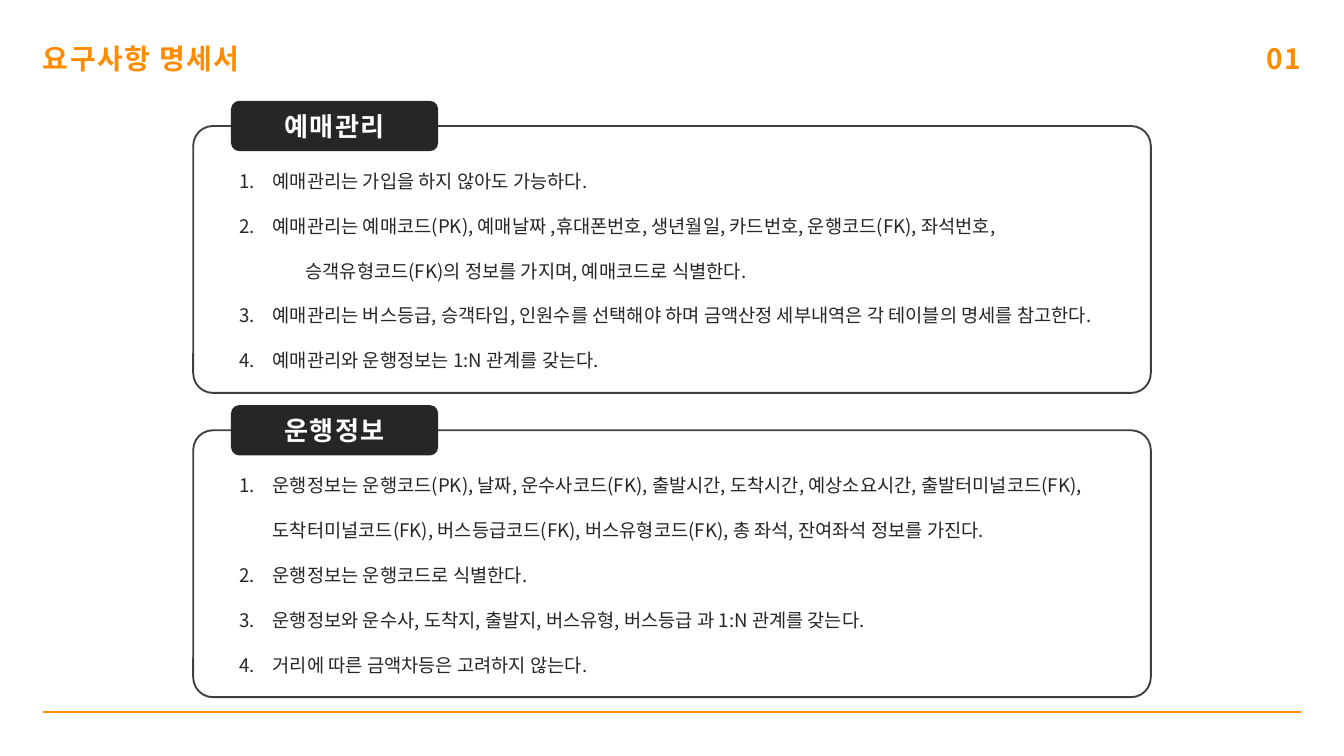
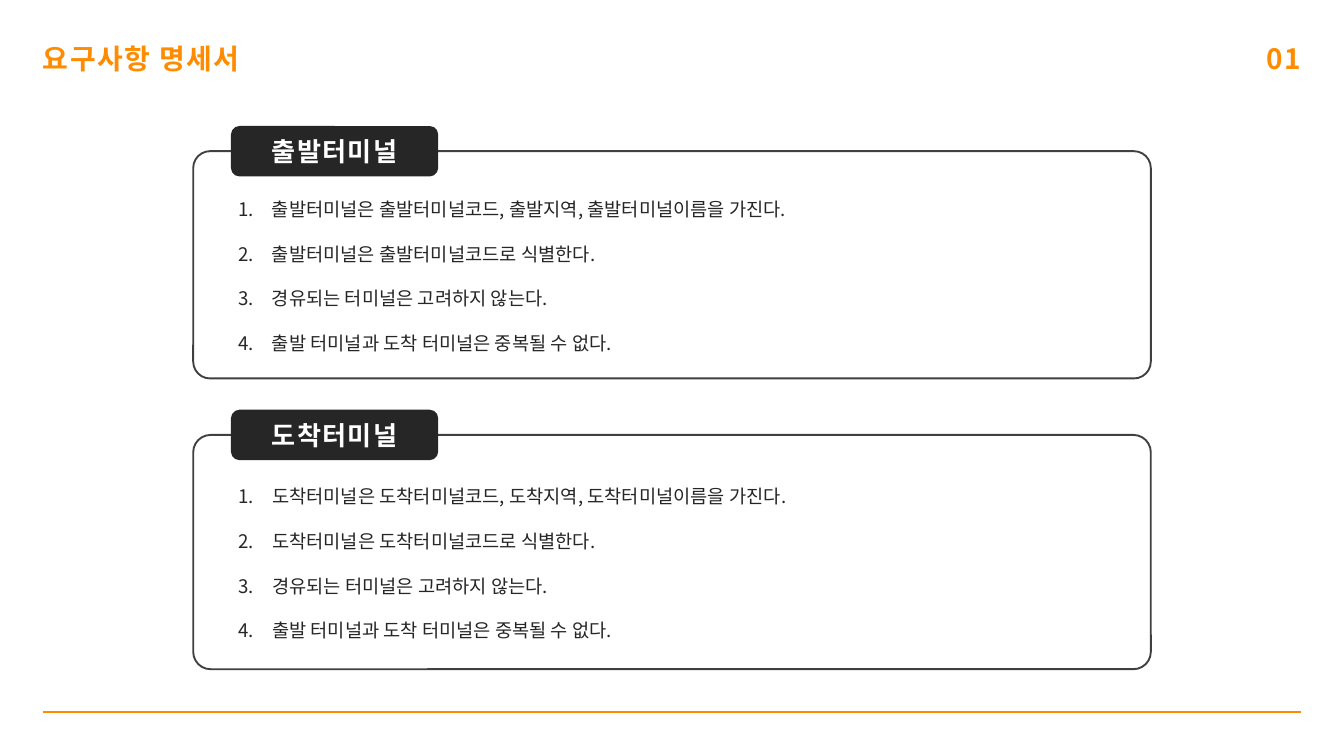
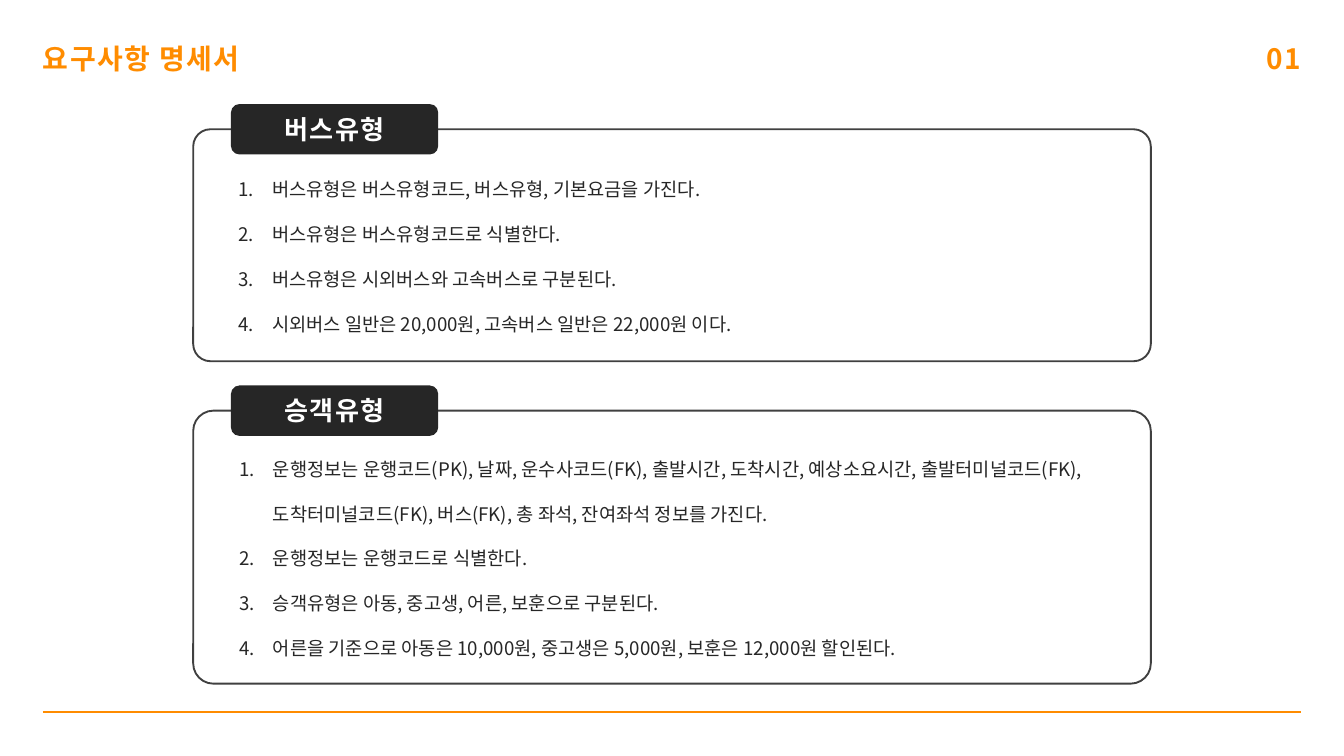
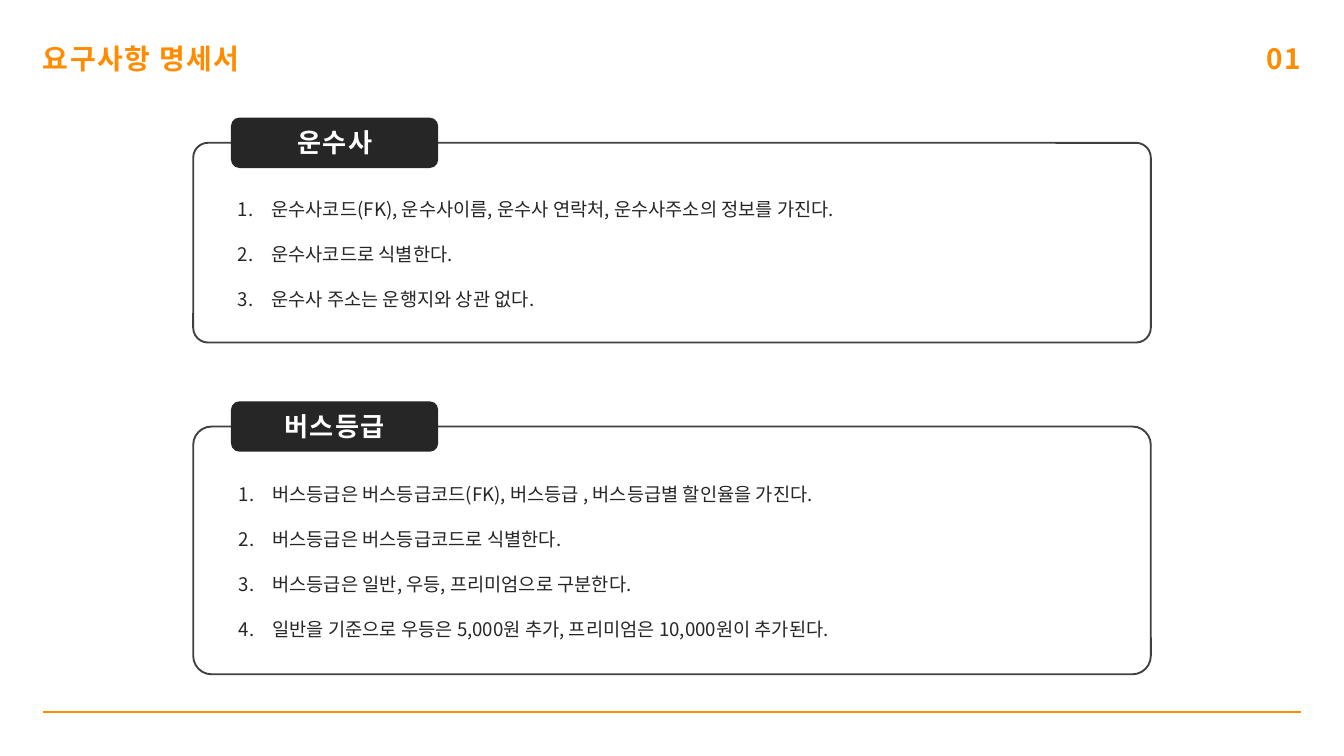
from typing import NamedTuple

from lxml.etree import SubElement
from pptx import Presentation
from pptx.dml.color import RGBColor
from pptx.enum.shapes import MSO_CONNECTOR, MSO_SHAPE
from pptx.enum.text import MSO_ANCHOR, MSO_AUTO_SIZE, PP_ALIGN
from pptx.oxml.ns import qn
from pptx.slide import Slide
from pptx.util import Pt

ORANGE = RGBColor(0xFF, 0x8C, 0x00)
DARK = RGBColor(0x26, 0x26, 0x26)
GRAY = RGBColor(0x40, 0x40, 0x40)
WHITE = RGBColor(0xFF, 0xFF, 0xFF)
FONT = "Noto Sans CJK KR"

LEFT, RIGHT = 46, 1394
HEADER_TOP, HEADER_H = 47.5, 34
FOOTER_Y = 763
CARD_X, CARD_W = 207, 1026
TAB_X, TAB_W, TAB_H = 247.5, 222, 54
LINE_H = 33
SPACING = 1.6


class Item(NamedTuple):
    text: str
    start: int = 1
    numbered: bool = True


class Card(NamedTuple):
    title: str
    top: float
    height: float
    items: list[Item]


SLIDES = [
    [
        Card("예매관리", 135, 286, [
            Item("예매관리는 가입을 하지 않아도 가능하다."),
            Item("예매관리는 예매코드(PK), 예매날짜 ,휴대폰번호, 생년월일, 카드번호, "
                 "운행코드(FK), 좌석번호,"),
            Item("승객유형코드(FK)의 정보를 가지며, 예매코드로 식별한다.", numbered=False),
            Item("예매관리는 버스등급, 승객타입, 인원수를 선택해야 하며 금액산정 "
                 "세부내역은 각 테이블의 명세를 참고한다.", start=3),
            Item("예매관리와 운행정보는 1:N 관계를 갖는다.", start=3),
        ]),
        Card("운행정보", 461, 286, [
            Item("운행정보는 운행코드(PK), 날짜, 운수사코드(FK), 출발시간, 도착시간, "
                 "예상소요시간, 출발터미널코드(FK), 도착터미널코드(FK), 버스등급코드(FK), "
                 "버스유형코드(FK), 총 좌석, 잔여좌석 정보를 가진다."),
            Item("운행정보는 운행코드로 식별한다."),
            Item("운행정보와 운수사, 도착지, 출발지, 버스유형, 버스등급 과 1:N 관계를 갖는다."),
            Item("거리에 따른 금액차등은 고려하지 않는다."),
        ]),
    ],
    [
        Card(f"{side}터미널", top, height, [
            Item(f"{side}터미널은 {side}터미널코드, {side}지역, {side}터미널이름을 가진다."),
            Item(f"{side}터미널은 {side}터미널코드로 식별한다."),
            Item("경유되는 터미널은 고려하지 않는다."),
            Item("출발 터미널과 도착 터미널은 중복될 수 없다."),
        ])
        for side, top, height in (("출발", 162, 243.5), ("도착", 466, 251))
    ],
    [
        Card("버스유형", 138.5, 248.5, [
            Item("버스유형은 버스유형코드, 버스유형, 기본요금을 가진다."),
            Item("버스유형은 버스유형코드로 식별한다."),
            Item("버스유형은 시외버스와 고속버스로 구분된다."),
            Item("시외버스 일반은 20,000원, 고속버스 일반은 22,000원 이다."),
        ]),
        Card("승객유형", 440, 292.5, [
            Item("운행정보는 운행코드(PK), 날짜, 운수사코드(FK), 출발시간, 도착시간, "
                 "예상소요시간, 출발터미널코드(FK), 도착터미널코드(FK), 버스(FK), "
                 "총 좌석, 잔여좌석 정보를 가진다."),
            Item("운행정보는 운행코드로 식별한다."),
            Item("승객유형은 아동, 중고생, 어른, 보훈으로 구분된다."),
            Item("어른을 기준으로 아동은 10,000원, 중고생은 5,000원, 보훈은 12,000원 할인된다."),
        ]),
    ],
    [
        Card("운수사", 153, 214, [
            Item("운수사코드(FK), 운수사이름, 운수사 연락처, 운수사주소의 정보를 가진다."),
            Item("운수사코드로 식별한다."),
            Item("운수사 주소는 운행지와 상관 없다."),
        ]),
        Card("버스등급", 457, 265.5, [
            Item("버스등급은 버스등급코드(FK), 버스등급 , 버스등급별 할인율을 가진다."),
            Item("버스등급은 버스등급코드로 식별한다."),
            Item("버스등급은 일반, 우등, 프리미엄으로 구분한다."),
            Item("일반을 기준으로 우등은 5,000원 추가, 프리미엄은 10,000원이 추가된다."),
        ]),
    ],
]


def set_font(p, size: float, color: RGBColor, bold: bool = False, spacing: float = 0) -> None:
    """Style the paragraph, Hangul glyphs and letter spacing included."""
    p.font.name = FONT
    p.font.size = Pt(size)
    p.font.bold = bold
    p.font.color.rgb = color
    props = p._p.pPr.find(qn("a:defRPr"))
    SubElement(props, qn("a:ea")).set("typeface", FONT)
    if spacing:
        props.set("spc", str(round(spacing * 100)))


def set_heading(p, text: str, size: float, color: RGBColor, align: PP_ALIGN) -> None:
    p.text = text
    p.alignment = align
    p.line_spacing = Pt(LINE_H)
    set_font(p, size, color, bold=True, spacing=SPACING)


def set_item(p, item: Item) -> None:
    p.text = item.text
    p.level = 1
    p.alignment = PP_ALIGN.LEFT
    p.line_spacing = 2.0
    props = p._p.get_or_add_pPr()
    props.set("marL", str(Pt(72 if item.numbered else 107)))
    props.set("indent", str(Pt(-36 if item.numbered else 0)))
    if item.numbered:
        number = SubElement(props, qn("a:buAutoNum"), type="arabicPeriod")
        if item.start > 1:
            number.set("startAt", str(item.start))
    set_font(p, 20, DARK)


def add_header(slide: Slide, text: str, x: float, width: float, align: PP_ALIGN) -> None:
    sp = slide.shapes.add_textbox(Pt(x), Pt(HEADER_TOP), Pt(width), Pt(HEADER_H))
    tf = sp.text_frame
    tf.word_wrap = True
    tf.auto_size = MSO_AUTO_SIZE.SHAPE_TO_FIT_TEXT
    tf.margin_left = tf.margin_top = tf.margin_right = tf.margin_bottom = 0
    set_heading(tf.paragraphs[0], text, 30, ORANGE, align)


def add_footer_line(slide: Slide) -> None:
    line = slide.shapes.add_connector(
        MSO_CONNECTOR.STRAIGHT, Pt(LEFT), Pt(FOOTER_Y), Pt(RIGHT), Pt(FOOTER_Y))
    line.line.color.rgb = ORANGE
    line.line.width = Pt(1.5)
    SubElement(line._element.spPr, qn("a:effectLst"))


def add_round_rect(slide: Slide, x: float, y: float, width: float, height: float):
    sp = slide.shapes.add_shape(
        MSO_SHAPE.ROUNDED_RECTANGLE, Pt(x), Pt(y), Pt(width), Pt(height))
    sp.shadow.inherit = False
    sp.text_frame.word_wrap = True
    sp.text_frame.vertical_anchor = MSO_ANCHOR.MIDDLE
    return sp


def add_card(slide: Slide, card: Card) -> None:
    """Draw the outlined list with its title tab centred on the top edge."""
    body = add_round_rect(slide, CARD_X, card.top, CARD_W, card.height)
    body.adjustments[0] = 0.074
    body.fill.background()
    body.line.color.rgb = GRAY
    body.line.width = Pt(2)
    tf = body.text_frame
    for i, item in enumerate(card.items):
        set_item(tf.add_paragraph() if i else tf.paragraphs[0], item)

    tab = add_round_rect(slide, TAB_X, card.top - TAB_H / 2, TAB_W, TAB_H)
    tab.fill.solid()
    tab.fill.fore_color.rgb = DARK
    tab.line.fill.background()
    set_heading(tab.text_frame.paragraphs[0], card.title, 28, WHITE, PP_ALIGN.CENTER)


def main() -> None:
    prs = Presentation()
    prs.slide_width, prs.slide_height = Pt(1440), Pt(810)
    for cards in SLIDES:
        slide = prs.slides.add_slide(prs.slide_layouts[6])
        add_footer_line(slide)
        add_header(slide, "요구사항 명세서", LEFT, 292, PP_ALIGN.LEFT)
        add_header(slide, "01", RIGHT - 202, 202, PP_ALIGN.RIGHT)
        for card in cards:
            add_card(slide, card)
    prs.save("out.pptx")


if __name__ == "__main__":
    main()
